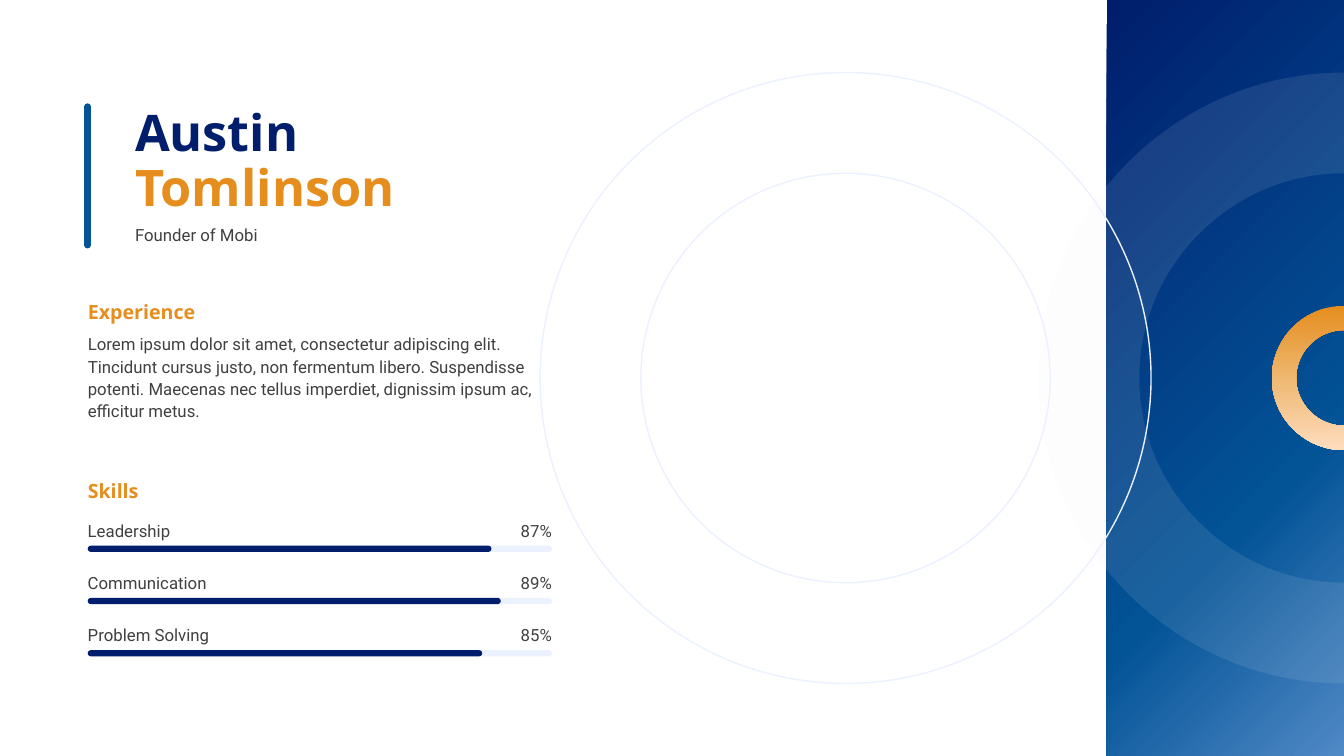
"""Build a profile slide with a biography, skill bars and ring decorations."""
import copy

import pptx
import pptx.dml.color
import pptx.enum.shapes
import pptx.enum.text
import pptx.oxml.ns
import pptx.util
from lxml import etree

Pt = pptx.util.Pt
RGBColor = pptx.dml.color.RGBColor
qn = pptx.oxml.ns.qn
PP_ALIGN = pptx.enum.text.PP_ALIGN
MSO_ANCHOR = pptx.enum.text.MSO_ANCHOR
MSO_SHAPE = pptx.enum.shapes.MSO_SHAPE

COLORS = {
    "navy": "001E6C", "blue": "035397", "sky": "5089C6", "orange": "E58E1E",
    "apricot": "EFBB78", "peach": "FFDDBF", "pale": "ECF1FF",
    "gray": "404040", "mist": "F2F2F2", "white": "FFFFFF",
}
LEFT = 62.7
TITLE_LEFT = 96.5
BAR_WIDTH = 331.5
RIGHT_EDGE = 960
CENTER_Y = 270
OUTER_RADIUS = 218.2
INNER_RADIUS = 146.2
ARC_FACTOR = 0.55


def add_text(shapes, text, box, size=12, font="Roboto", color="gray", bold=False,
             align=PP_ALIGN.LEFT, anchor=MSO_ANCHOR.TOP, spacing=1.1):
    textbox = shapes.add_textbox(*[Pt(value) for value in box])
    frame = textbox.text_frame
    frame.word_wrap = True
    frame.vertical_anchor = anchor
    frame.margin_left = frame.margin_top = frame.margin_right = frame.margin_bottom = 0
    paragraph = frame.paragraphs[0]
    paragraph.text = text
    paragraph.alignment = align
    paragraph.line_spacing = spacing
    paragraph.font.name = font
    paragraph.font.size = Pt(size)
    paragraph.font.bold = bold
    paragraph.font.color.rgb = RGBColor.from_string(COLORS[color])


def fill_gradient(shape, angle, stops):
    shape.fill.gradient()
    shape.fill.gradient_angle = 360 - angle
    stop_list = next(shape._element.iter(qn("a:gsLst")))
    stop_list.append(copy.deepcopy(stop_list[-1]))
    for stop, (position, color) in zip(shape.fill.gradient_stops, stops):
        stop.position = position
        stop.color.rgb = RGBColor.from_string(COLORS[color])


presentation = pptx.Presentation()
presentation.slide_width = Pt(960)
presentation.slide_height = Pt(540)
slide = presentation.slides.add_slide(presentation.slide_layouts[5])
slide.background.fill.solid()
slide.background.fill.fore_color.rgb = RGBColor.from_string(COLORS["white"])
shapes = slide.shapes

panel = shapes.add_shape(MSO_SHAPE.RECTANGLE, Pt(790.4), 0, Pt(169.6), Pt(540))
panel.shadow.inherit = False
panel.line.fill.background()
fill_gradient(panel, 45, [(0, "navy"), (0.67, "blue"), (1, "sky")])

half_rings = []
for outer, inner in [(OUTER_RADIUS, INNER_RADIUS), (51.5, 34.2)]:
    corners = [(0, -outer), (-outer, 0), (0, outer), (0, inner), (-inner, 0), (0, -inner)]
    points = [(Pt(RIGHT_EDGE + x), Pt(CENTER_Y + y)) for x, y in corners]
    builder = shapes.build_freeform(*points[0])
    builder.add_line_segments(points[1:], close=True)
    half_ring = builder.convert_to_shape()
    half_ring.shadow.inherit = False
    half_ring.line.fill.background()
    vertices = list(half_ring._element.iter(qn("a:pt")))
    for start, end in zip(vertices, vertices[1:]):
        x0, y0, x1, y1 = [int(vertex.get(axis)) for vertex in (start, end) for axis in "xy"]
        if x0 == x1:
            continue
        dx, dy = (x1 - x0) * ARC_FACTOR, (y1 - y0) * ARC_FACTOR
        controls = [(x0 + dx, y0), (x1, y1 - dy)] if x0 > x1 else [(x0, y0 + dy), (x1 - dx, y1)]
        segment = end.getparent()
        curve = etree.Element(qn("a:cubicBezTo"))
        for x, y in controls:
            etree.SubElement(curve, qn("a:pt"), x=str(round(x)), y=str(round(y)))
        segment.getparent().replace(segment, curve)
        curve.append(end)
    half_rings.append(half_ring)

large_half, small_half = half_rings
large_half.fill.solid()
large_half.fill.fore_color.rgb = RGBColor.from_string(COLORS["mist"])
fill_color = large_half._element.spPr.find(qn("a:solidFill"))[0]
etree.SubElement(fill_color, qn("a:alpha"), val="10000")
fill_gradient(small_half, 90, [(0, "orange"), (0.55, "apricot"), (1, "peach")])

ring = shapes.add_shape(MSO_SHAPE.DONUT, Pt(604 - OUTER_RADIUS), Pt(CENTER_Y - OUTER_RADIUS),
                        Pt(2 * OUTER_RADIUS), Pt(2 * OUTER_RADIUS))
ring.adjustments[0] = (OUTER_RADIUS - INNER_RADIUS) / (2 * OUTER_RADIUS)
ring.shadow.inherit = False
ring.fill.background()
ring.line.color.rgb = RGBColor.from_string(COLORS["pale"])
ring.line.width = Pt(1)

title = shapes.title
title.left, title.top, title.width, title.height = Pt(TITLE_LEFT), Pt(77.8), Pt(338.4), Pt(77)
frame = title.text_frame
frame.word_wrap = True
frame.auto_size = pptx.enum.text.MSO_AUTO_SIZE.NONE
frame.vertical_anchor = MSO_ANCHOR.MIDDLE
frame.margin_left = frame.margin_top = frame.margin_right = frame.margin_bottom = 0
paragraph = frame.paragraphs[0]
paragraph.alignment = PP_ALIGN.LEFT
paragraph.line_spacing = 0.9
paragraph.font.name = "Open Sans"
paragraph.font.size = Pt(36)
paragraph.font.bold = True
first_name = paragraph.add_run()
first_name.text = "Austin "
first_name.font.color.rgb = RGBColor.from_string(COLORS["navy"])
paragraph.add_line_break()
last_name = paragraph.add_run()
last_name.text = "Tomlinson"
last_name.font.color.rgb = RGBColor.from_string(COLORS["orange"])

accent = shapes.add_connector(pptx.enum.shapes.MSO_CONNECTOR.STRAIGHT,
                              Pt(LEFT), Pt(76.3), Pt(LEFT), Pt(175))
accent.line.color.rgb = RGBColor.from_string(COLORS["blue"])
accent.line.width = Pt(5)
accent.line._ln.set("cap", "rnd")
etree.SubElement(accent._element.spPr, qn("a:effectLst"))

add_text(shapes, "Lorem ipsum dolor sit amet, consectetur adipiscing elit. Tincidunt cursus justo, "
         "non fermentum libero. Suspendisse potenti. Maecenas nec tellus imperdiet, "
         "dignissim ipsum ac, efficitur metus.", (LEFT, 237.3, BAR_WIDTH, 78.5))
add_text(shapes, "Founder of Mobi", (TITLE_LEFT, 159.1, 338.4, 16.6))
for heading, top in [("Experience", 212.8), ("Skills", 341)]:
    add_text(shapes, heading, (LEFT, top, 368.6, 18), size=14, font="Open Sans",
             color="orange", bold=True, anchor=MSO_ANCHOR.BOTTOM, spacing=1.0)

skills = [("Leadership", 87), ("Communication", 89), ("Problem Solving", 85)]
for index, (skill, percent) in enumerate(skills):
    top = 370.5 + index * 37.3
    group = shapes.add_group_shape()
    add_text(group.shapes, skill, (LEFT, top, 129.6, 15.8))
    add_text(group.shapes, f"{percent}%", (LEFT + BAR_WIDTH - 120, top, 120, 15.8),
             align=PP_ALIGN.RIGHT)
    for share, color in [(100, "pale"), (percent, "navy")]:
        bar = group.shapes.add_shape(MSO_SHAPE.ROUNDED_RECTANGLE, Pt(LEFT), Pt(top + 19.3),
                                     Pt(BAR_WIDTH * share / 100), Pt(4.4))
        bar.adjustments[0] = 0.5
        bar.shadow.inherit = False
        bar.fill.solid()
        bar.fill.fore_color.rgb = RGBColor.from_string(COLORS[color])
        bar.line.fill.background()

presentation.save("out.pptx")
